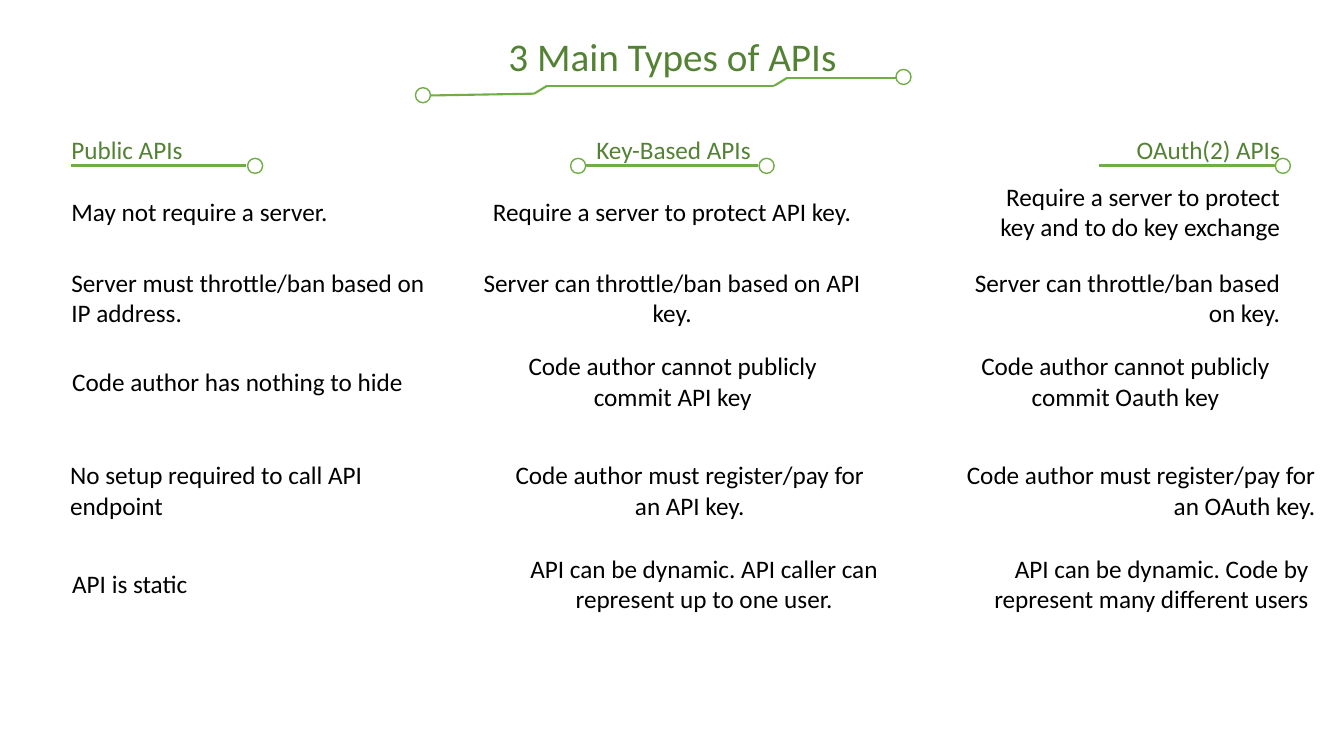
from lxml import etree
from pptx import Presentation
from pptx.dml.color import RGBColor
from pptx.enum.shapes import MSO_CONNECTOR, MSO_SHAPE
from pptx.enum.text import MSO_ANCHOR, MSO_AUTO_SIZE, PP_ALIGN
from pptx.oxml.ns import qn
from pptx.util import Cm, Pt

LEFT, MID, RIGHT = PP_ALIGN.LEFT, PP_ALIGN.CENTER, PP_ALIGN.RIGHT
TOP, FIT = MSO_ANCHOR.TOP, MSO_AUTO_SIZE.SHAPE_TO_FIT_TEXT
OVAL, LINE = MSO_SHAPE.OVAL, MSO_CONNECTOR.STRAIGHT
HEX = {"title": "548235", "trace": "70AD47", "text": "000000", "back": "FFFFFF"}
RGB = {name: RGBColor.from_string(code) for name, code in HEX.items()}
DOT = 0.38
HIGH = {1: 1.02, 2: 1.8}  # box height by number of lines

deck = Presentation()
deck.slide_width, deck.slide_height = Cm(33.87), Cm(19.05)
slide = deck.slides.add_slide(deck.slide_layouts[5])
shapes = slide.shapes


def write(box, text, align, size, color):
    frame = box.text_frame
    frame.text = text
    frame.word_wrap, frame.auto_size = True, FIT
    frame.vertical_anchor = TOP
    for para in frame.paragraphs:
        para.alignment = align
        font = para.runs[0].font
        font.name, font.size = "Calibri", Pt(size)
        font.color.rgb = RGB[color]


def trace(points, dots):
    """Join the points with lines and put a ring on each dot centre."""
    for start, end in zip(points, points[1:]):
        line = shapes.add_connector(LINE, *map(Cm, start + end))
        line.line.color.rgb = RGB["trace"]
        line.line.width = Pt(1.5)
        etree.SubElement(line._element.spPr, qn("a:effectLst"))
    for x, y in dots:
        ring = shapes.add_shape(OVAL, Cm(x - DOT / 2), Cm(y - DOT / 2), Cm(DOT), Cm(DOT))
        ring.shadow.inherit = False
        ring.fill.solid()
        ring.fill.fore_color.rgb = RGB["back"]
        ring.line.color.rgb = RGB["trace"]
        ring.line.width = Pt(1)


# Title with its circuit line
title = shapes.title
title.left, title.top, title.width, title.height = Cm(9.45), Cm(0.69), Cm(14.99), Cm(1.45)
write(title, "3 Main Types of APIs", MID, 28, "title")
trace([(10.59, 2.41), (13.46, 2.36), (13.79, 2.16),
       (19.51, 2.16), (19.84, 1.96), (22.71, 1.96)],
      [(10.66, 2.4), (22.77, 1.94)])

# Column heads: text, left, width, alignment, ring offsets
heads = [
    ("Public APIs", 1.55, 3.37, LEFT, [4.88]),
    ("Key-Based APIs", 14.45, 5.05, MID, [0.12, 4.87]),
    ("OAuth(2) APIs", 27.46, 5.05, RIGHT, [4.87]),
]
for text, x, wide, align, rings in heads:
    trace([(x + 0.23, 4.17), (x + 4.66, 4.17)], [(x + ring, 4.18) for ring in rings])
    box = shapes.add_textbox(Cm(x), Cm(3.25), Cm(wide), Cm(HIGH[1]))
    write(box, text, align, 18, "title")

# Rows: middle height, then left, width, lines and text per column
rows = [
    (5.34, [
        (1.55, 7.05, 1, "May not require a server."),
        (11.58, 10.72, 1, "Require a server to protect API key."),
        (24.23, 8.28, 2, "Require a server to protect key and to do key exchange")]),
    (7.5, [
        (1.55, 9.7, 2, "Server must throttle/ban based on\nIP address."),
        (11.58, 10.72, 2, "Server can throttle/ban based on API key."),
        (24.23, 8.28, 2, "Server can throttle/ban based on key.")]),
    (9.61, [
        (1.57, 8.95, 1, "Code author has nothing to hide"),
        (12.09, 9.73, 2, "Code author cannot publicly commit API key"),
        (23.5, 9.73, 2, "Code author cannot publicly commit Oauth key")]),
    (12.36, [
        (1.52, 9.09, 2, "No setup required to call API endpoint"),
        (12.52, 9.73, 2, "Code author must register/pay for an API key."),
        (23.67, 9.73, 2, "Code author must register/pay for an OAuth key.")]),
    (14.71, [
        (1.57, 9.09, 1, "API is static"),
        (12.88, 9.73, 2, "API can be dynamic. API caller can represent up to one user."),
        (23.5, 9.73, 2, "API can be dynamic. Code by represent many different users")]),
]
for mid, cells in rows:
    for (x, wide, count, text), align in zip(cells, (LEFT, MID, RIGHT)):
        high = HIGH[count]
        box = shapes.add_textbox(Cm(x), Cm(mid - high / 2), Cm(wide), Cm(high))
        write(box, text, MID if "Oauth" in text else align, 18, "text")

deck.save("out.pptx")
